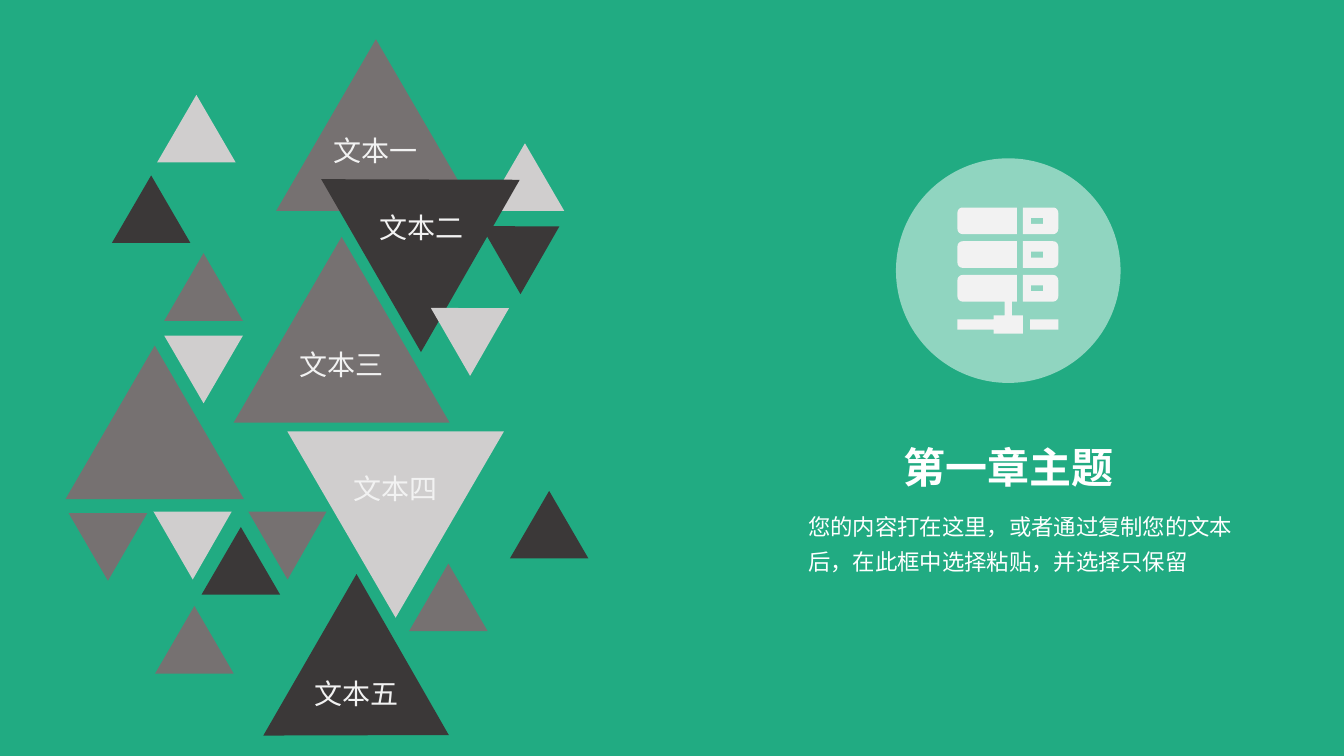
from math import cos, pi, sin
from typing import NamedTuple

from lxml.etree import SubElement
from pptx import Presentation
from pptx.dml.color import RGBColor
from pptx.dml.fill import FillFormat
from pptx.enum.shapes import MSO_SHAPE
from pptx.enum.text import MSO_AUTO_SIZE, PP_ALIGN
from pptx.oxml.ns import qn
from pptx.shapes.shapetree import GroupShapes, SlideShapes
from pptx.util import Cm, Pt

FONT = "Noto Sans CJK SC"
GREEN, WHITE, NEAR_WHITE = "21AB82", "FFFFFF", "F2F2F2"
DARK, GRAY, LIGHT = "3B3838", "767171", "D0CECE"
SMALL = 1.98
TRIANGLE_RATIO = 0.86

Point = tuple[float, float]


class Triangle(NamedTuple):
    left: float
    top: float
    color: str
    width: float = SMALL
    rotation: int = 0


class Label(NamedTuple):
    text: str
    left: float
    top: float
    width: float
    height: float
    size: int = 20
    color: str = NEAR_WHITE
    bold: bool = False
    wrap: bool = False
    align: PP_ALIGN = PP_ALIGN.CENTER
    line_spacing: float = 1.0


# Back to front
TRIANGLES = [
    Triangle(2.82, 4.42, DARK),
    Triangle(12.24, 3.61, LIGHT),
    Triangle(6.5, 12.47, GRAY, rotation=60),
    Triangle(5.89, 5.97, GRAY, 5.44),
    Triangle(1.65, 8.71, GRAY, 4.5),
    Triangle(5.08, 13.28, DARK),
    Triangle(3.91, 15.27, GRAY),
    Triangle(6.96, 0.99, GRAY, 5.03),
    Triangle(3.96, 2.39, LIGHT),
    Triangle(8.71, 3.45, DARK, 5.03, 60),
    Triangle(12.37, 5.28, DARK, rotation=60),
    Triangle(4.11, 12.47, LIGHT, rotation=60),
    Triangle(1.73, 12.93, GRAY, rotation=180),
    Triangle(4.14, 6.38, GRAY),
    Triangle(4.14, 8.46, LIGHT, rotation=180),
    Triangle(11.1, 7.34, LIGHT, rotation=60),
    Triangle(7.21, 15.49, DARK, 4.7, 120),
    Triangle(12.85, 12.37, DARK),
    Triangle(7.24, 10.87, LIGHT, 5.46, 180),
    Triangle(10.31, 14.2, GRAY),
]

LABELS = [
    Label("文本一", 8.15, 3.25, 2.64, 1.12),
    Label("文本二", 9.3, 5.18, 2.64, 1.12),
    Label("文本三", 7.29, 8.64, 2.64, 1.12),
    Label("文本四", 8.64, 11.76, 2.64, 1.12),
    Label("文本五", 7.67, 16.92, 2.64, 1.12),
    Label("第一章主题", 22.48, 11, 5.87, 1.55, 30, WHITE, bold=True),
    Label("您的内容打在这里，或者通过复制您的文本后，在此框中选择粘贴，并选择只保留",
          20.12, 12.6, 11.23, 2.06, 16, WHITE, wrap=True,
          align=PP_ALIGN.LEFT, line_spacing=1.3),
]

ICON_LEFT, ICON_RIGHT = 24.13, 26.67
SERVER_TOPS = [5.23 + 0.85 * row for row in range(3)]
SERVER_HEIGHT, CORNER = 0.67, 0.13
NETWORK_CABLE = [
    (25.32, 7.6), (25.5, 7.6), (25.5, 7.95), (25.78, 7.95), (25.78, 8.41), (25.04, 8.41),
    (25.04, 8.31), (24.13, 8.31), (24.13, 8.05), (25.04, 8.05), (25.04, 7.95), (25.32, 7.95),
]


def set_color(fill: FillFormat, color: str) -> None:
    fill.solid()
    fill.fore_color.rgb = RGBColor.from_string(color)


def rectangle(left: float, top: float, right: float, bottom: float) -> list[Point]:
    return [(left, top), (right, top), (right, bottom), (left, bottom)]


def half_rounded(inner: float, outer: float, top: float) -> list[Point]:
    """Outline of a server block whose two corners on the outer side are rounded."""
    side = 1 if outer > inner else -1
    bottom = top + SERVER_HEIGHT
    center = outer - side * CORNER
    angles = [pi / 2 * step / 6 for step in range(7)]
    upper = [(center + side * CORNER * sin(a), top + CORNER - CORNER * cos(a)) for a in angles]
    lower = [(x, top + bottom - y) for x, y in reversed(upper)]
    return [(inner, top), *upper, *lower, (inner, bottom)]


def add_triangle(shapes: SlideShapes, triangle: Triangle) -> None:
    shape = shapes.add_shape(
        MSO_SHAPE.ISOSCELES_TRIANGLE, Cm(triangle.left), Cm(triangle.top),
        Cm(triangle.width), Cm(triangle.width * TRIANGLE_RATIO))
    shape.shadow.inherit = False
    shape.rotation = triangle.rotation
    set_color(shape.fill, triangle.color)
    shape.line.fill.background()


def add_label(shapes: SlideShapes, label: Label) -> None:
    box = shapes.add_textbox(Cm(label.left), Cm(label.top), Cm(label.width), Cm(label.height))
    text_frame = box.text_frame
    text_frame.word_wrap = label.wrap
    text_frame.auto_size = MSO_AUTO_SIZE.SHAPE_TO_FIT_TEXT
    text_frame.text = label.text
    paragraph = text_frame.paragraphs[0]
    paragraph.alignment = label.align
    paragraph.line_spacing = label.line_spacing
    font = paragraph.runs[0].font
    font.name, font.size, font.bold = FONT, Pt(label.size), label.bold
    set_color(font.fill, label.color)
    east_asian = SubElement(font.fill._xPr, qn("a:ea"))
    east_asian.set("typeface", FONT)


def add_disc(shapes: GroupShapes) -> None:
    disc = shapes.add_shape(MSO_SHAPE.OVAL, Cm(22.58), Cm(3.99), Cm(5.66), Cm(5.66))
    disc.shadow.inherit = False
    set_color(disc.fill, WHITE)
    color = disc.fill._xPr.find(qn("a:solidFill")).find(qn("a:srgbClr"))
    SubElement(color, qn("a:alpha")).set("val", "50000")
    disc.line.fill.background()


def add_server_icon(shapes: GroupShapes) -> None:
    outlines = [NETWORK_CABLE, rectangle(25.96, 8.05, ICON_RIGHT, 8.31)]
    for top in SERVER_TOPS:
        outlines += [
            half_rounded(25.63, ICON_LEFT, top),
            half_rounded(25.78, ICON_RIGHT, top),
            rectangle(25.98, top + 0.26, 26.29, top + 0.41),
        ]
    builder = shapes.build_freeform(Cm(outlines[0][0][0]), Cm(outlines[0][0][1]))
    for index, outline in enumerate(outlines):
        points = [(Cm(x), Cm(y)) for x, y in outline]
        if index:
            builder.move_to(*points[0])
        builder.add_line_segments(points[1:], close=True)
    icon = builder.convert_to_shape()
    icon.shadow.inherit = False
    set_color(icon.fill, NEAR_WHITE)
    icon.line.fill.background()


def main() -> None:
    presentation = Presentation()
    presentation.slide_width, presentation.slide_height = Cm(33.87), Cm(19.05)
    slide = presentation.slides.add_slide(presentation.slide_layouts[6])
    set_color(slide.background.fill, GREEN)
    badge = slide.shapes.add_group_shape()
    add_disc(badge.shapes)
    add_server_icon(badge.shapes)
    for triangle in TRIANGLES:
        add_triangle(slide.shapes, triangle)
    for label in LABELS:
        add_label(slide.shapes, label)
    presentation.save("out.pptx")


if __name__ == "__main__":
    main()
